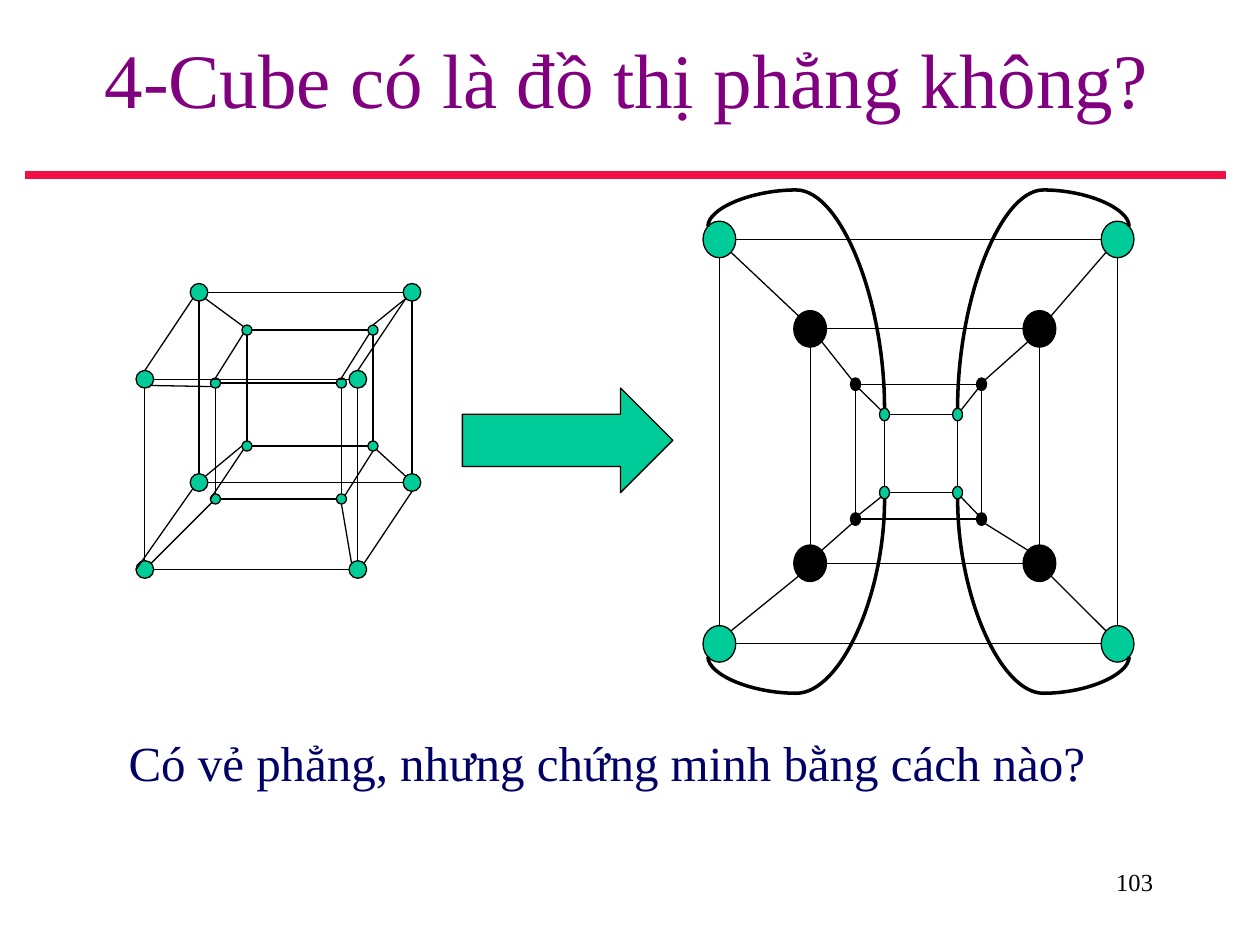
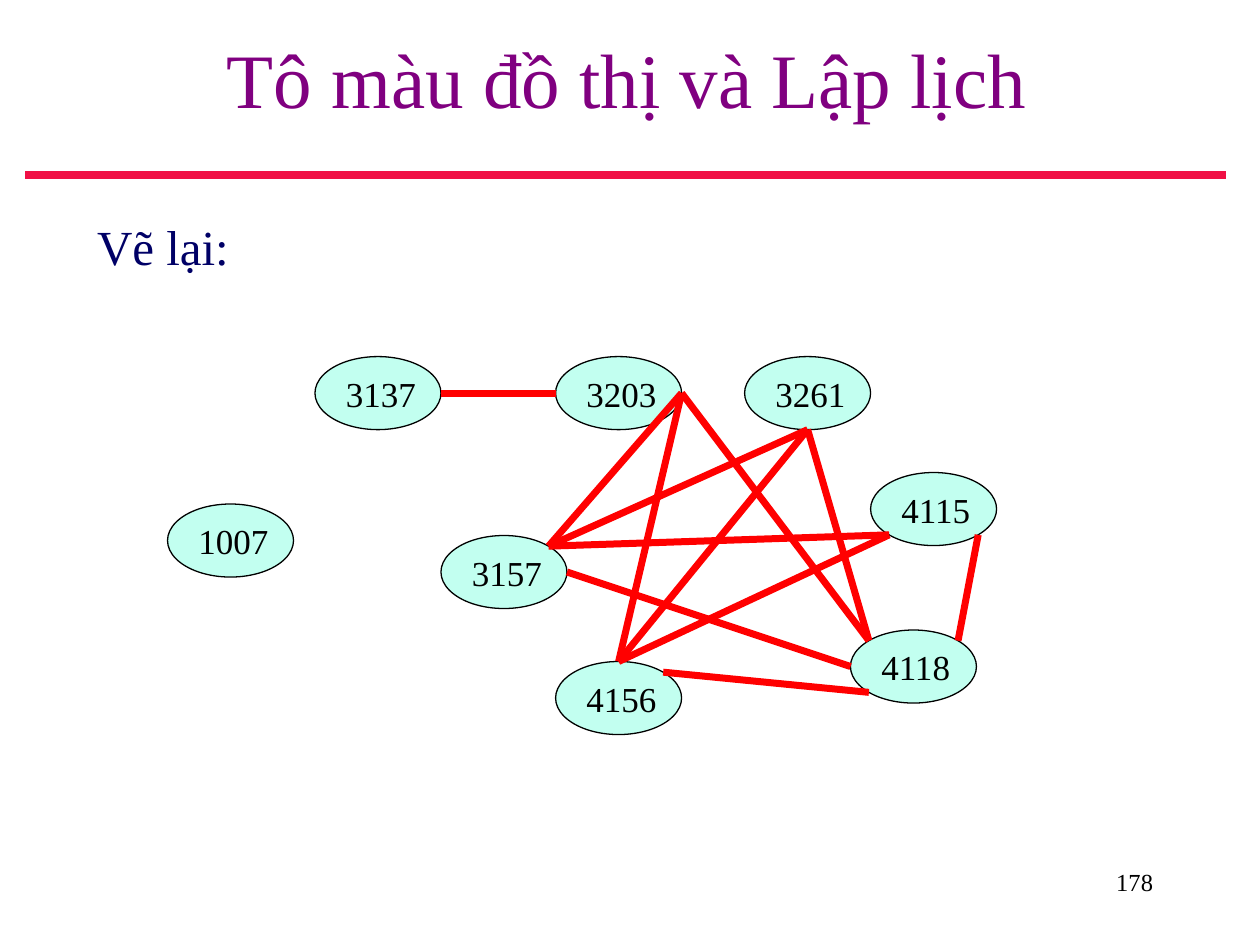
from lxml import etree
from pptx import Presentation
from pptx.dml.color import RGBColor
from pptx.enum import shapes, text
from pptx.oxml import ns
from pptx.util import Inches, Pt

FONT = "Times New Roman"
COLORS = {
    "title": "800080", "body": "000066", "rule": "F01045", "black": "000000",
    "green": "00CC99", "mint": "C2FFF0", "red": "FF0000",
}
# Points on an ellipse, as offsets from its centre in half widths and heights
D = 0.7071
SITES = {
    "N": (0, -1), "NE": (D, -D), "E": (1, 0), "SE": (D, D),
    "S": (0, 1), "SW": (-D, D), "W": (-1, 0), "NW": (-D, -D),
}
OPPOSITE = {"NW": "SE", "NE": "SW", "SW": "NE", "SE": "NW"}


def rgb(name):
    return RGBColor.from_string(COLORS[name])


def write(tf, content, size, color="black", align=text.PP_ALIGN.LEFT,
          anchor=text.MSO_ANCHOR.TOP, wrap=True, hanging=0):
    tf.auto_size = text.MSO_AUTO_SIZE.NONE
    tf.word_wrap = wrap
    tf.vertical_anchor = anchor
    p = tf.paragraphs[0]
    if hanging:
        pPr = p._p.get_or_add_pPr()
        pPr.set("marL", str(Inches(hanging)))
        pPr.set("indent", str(-Inches(hanging)))
        etree.SubElement(pPr, ns.qn("a:buNone"))
    p.alignment = align
    p.space_before = Pt(0)
    r = p.add_run()
    r.text = content
    r.font.name = FONT
    r.font.size = Pt(size)
    r.font.color.rgb = rgb(color)


def site(node, name):
    """Return the named point on the edge of an ellipse."""
    dx, dy = SITES[name]
    return (int(node.left + node.width * (1 + dx) / 2),
            int(node.top + node.height * (1 + dy) / 2))


def place(sp, left, top, width, height):
    sp.left, sp.top = Inches(left), Inches(top)
    sp.width, sp.height = Inches(width), Inches(height)


class Deck:
    """Holds the presentation, its style and the current slide."""

    def __init__(self):
        self.prs = Presentation()
        self.prs.slide_width, self.prs.slide_height = Inches(10), Inches(7.5)
        self.s = None

    def slide(self, title, number):
        self.s = self.prs.slides.add_slide(self.prs.slide_layouts[1])
        self.line((Inches(0.2), Inches(1.39)), (Inches(9.73), Inches(1.39)),
                  "rule", 4.5)
        sp = self.s.shapes.title
        place(sp, 0.2, 0, 9.55, 1.23)
        write(sp.text_frame, title, 44, "title", text.PP_ALIGN.CENTER,
              text.MSO_ANCHOR.MIDDLE)
        box = self.s.shapes.add_textbox(
            Inches(7.17), Inches(6.83), Inches(2.08), Inches(0.5))
        write(box.text_frame, str(number), 14, align=text.PP_ALIGN.RIGHT)

    def body(self, content, at, **kwargs):
        sp = self.s.placeholders[1]
        place(sp, *at)
        write(sp.text_frame, content, 28, "body", hanging=0.38, **kwargs)
        return sp

    def shape(self, kind, at, fill):
        sp = self.s.shapes.add_shape(kind, *map(Inches, at))
        sp.shadow.inherit = False
        sp.fill.solid()
        sp.fill.fore_color.rgb = rgb(fill)
        sp.line.color.rgb = rgb("black")
        sp.line.width = Pt(0.75)
        return sp

    def node(self, x, y, width, height, fill):
        """Draw an ellipse around the centre x, y."""
        at = (x - width / 2, y - height / 2, width, height)
        return self.shape(shapes.MSO_SHAPE.OVAL, at, fill)

    def line(self, start, end, color="black", weight=0.75,
             kind=shapes.MSO_CONNECTOR.STRAIGHT):
        c = self.s.shapes.add_connector(kind, *start, *end)
        c.line.color.rgb = rgb(color)
        c.line.width = Pt(weight)
        etree.SubElement(c._element.spPr, ns.qn("a:effectLst"))
        return c

    def edge(self, a, a_site, b, b_site, **kwargs):
        self.line(site(a, a_site), site(b, b_site), **kwargs)

    def loop(self, start, end, bulge):
        """Curve that leaves start vertically, away from end, by bulge."""
        mid_x, mid_y = (start[0] + end[0]) / 2, (start[1] + end[1]) / 2
        turn = 1 if start[0] < end[0] else -1
        dx, dy = turn * (start[1] - mid_y), -turn * (start[0] - mid_x)
        c = self.line((int(mid_x + dx), int(mid_y + dy)),
                      (int(mid_x - dx), int(mid_y - dy)),
                      weight=2, kind=shapes.MSO_CONNECTOR.CURVE)
        spPr = c._element.spPr
        spPr.find(ns.qn("a:xfrm")).set("rot", str((90 if turn > 0 else 270) * 60000))
        geom = spPr.find(ns.qn("a:prstGeom"))
        guides = geom.find(ns.qn("a:avLst"))
        if guides is None:
            guides = etree.SubElement(geom, ns.qn("a:avLst"))
        adj = -round(100000 * Inches(bulge) / abs(start[1] - end[1]))
        etree.SubElement(guides, ns.qn("a:gd"), name="adj1", fmla=f"val {adj}")

    def ring(self, xs, ys, width, height, fill="green"):
        """Draw four nodes joined as a rectangle, returned by corner."""
        ring = {v + h: self.node(x, y, width, height, fill)
                for v, y in zip("NS", ys) for h, x in zip("WE", xs)}
        for v in "NS":
            self.edge(ring[v + "W"], "E", ring[v + "E"], "W")
        for h in "WE":
            self.edge(ring["N" + h], "S", ring["S" + h], "N")
        return ring

    def cube(self, front_xs, front_ys, shift, size):
        """Draw two rings, the back one moved by shift, and join them."""
        dx, dy = shift
        front = self.ring(front_xs, front_ys, size, size)
        back = self.ring([x + dx for x in front_xs],
                         [y + dy for y in front_ys], size, size)
        for corner, back_site, front_site in (
                ("NW", "SW", "N"), ("NE", "SW", "N"),
                ("SE", "S", "NE"), ("SW", "SW", "W")):
            self.edge(back[corner], back_site, front[corner], front_site)
        return front, back


def cube_slide(deck):
    deck.slide("4-Cube có là đồ thị phẳng không?", 103)
    sp = deck.body("Có vẻ phẳng, nhưng chứng minh bằng cách nào?",
                   (0.92, 1.92, 8.33, 4.59), anchor=text.MSO_ANCHOR.BOTTOM)
    sp.text_frame.margin_bottom = Inches(0.23)
    deck.shape(shapes.MSO_SHAPE.RIGHT_ARROW, (3.67, 3.08, 1.67, 0.83), "green")

    inner_front, inner_back = deck.cube((1.71, 2.71), (3.04, 3.96), (0.25, -0.42), 0.08)
    outer_front, outer_back = deck.cube((1.15, 2.84), (3.01, 4.52), (0.43, -0.69), 0.14)
    for inner, outer, links in (
            (inner_front, outer_front,
             (("SW", "SW", "NE"), ("SE", "S", "NW"), ("NW", "SW", "SE"))),
            (inner_back, outer_back,
             (("SE", "SE", "NW"), ("SW", "W", "NE"),
              ("NW", "NW", "SE"), ("NE", "N", "SW")))):
        for corner, inner_site, outer_site in links:
            deck.edge(inner[corner], inner_site, outer[corner], outer_site)

    small, large = (0.08, 0.1), (0.26, 0.29)
    nested = [
        deck.ring((7.02, 7.6), (3.29, 3.91), *small),
        deck.ring((6.79, 7.79), (3.05, 4.12), *small, "black"),
        deck.ring((6.43, 8.25), (2.61, 4.47), *large, "black"),
        deck.ring((5.71, 8.87), (1.9, 5.11), *large),
    ]
    for inner, outer in zip(nested, nested[1:]):
        for corner, facing in OPPOSITE.items():
            deck.edge(inner[corner], corner, outer[corner], facing)
    for corner in OPPOSITE:
        deck.loop(site(nested[-1][corner], corner),
                  site(nested[0][corner], corner[0]), 0.29)


def schedule_slide(deck):
    deck.slide("Tô màu đồ thị và Lập lịch", 178)
    deck.body("Vẽ lại:", (0.67, 1.67, 8.92, 5.33))
    courses = {}
    for name, x, y in (
            ("1007", 1.83, 4.29), ("3137", 3, 3.12), ("3157", 4, 4.54),
            ("3203", 4.91, 3.12), ("4115", 7.41, 4.04), ("3261", 6.41, 3.12),
            ("4156", 4.91, 5.54), ("4118", 7.25, 5.29)):
        courses[name] = deck.node(x, y, 1, 0.58, "mint")
        write(courses[name].text_frame, name, 20, wrap=False,
              anchor=text.MSO_ANCHOR.MIDDLE)
    for a, a_site, b, b_site in (
            ("3137", "E", "3203", "W"), ("3157", "NE", "3203", "E"),
            ("4156", "N", "3203", "E"), ("4118", "W", "3157", "E"),
            ("4115", "SW", "3157", "NE"), ("3261", "S", "3157", "NE"),
            ("4118", "SW", "4156", "NE"), ("4118", "NW", "3261", "S"),
            ("4118", "NW", "3203", "E"), ("4118", "NE", "4115", "SE"),
            ("3261", "S", "4156", "N"), ("4156", "N", "4115", "SW")):
        deck.edge(courses[a], a_site, courses[b], b_site, color="red", weight=4)


def main():
    deck = Deck()
    cube_slide(deck)
    schedule_slide(deck)
    deck.prs.save("out.pptx")


if __name__ == "__main__":
    main()
